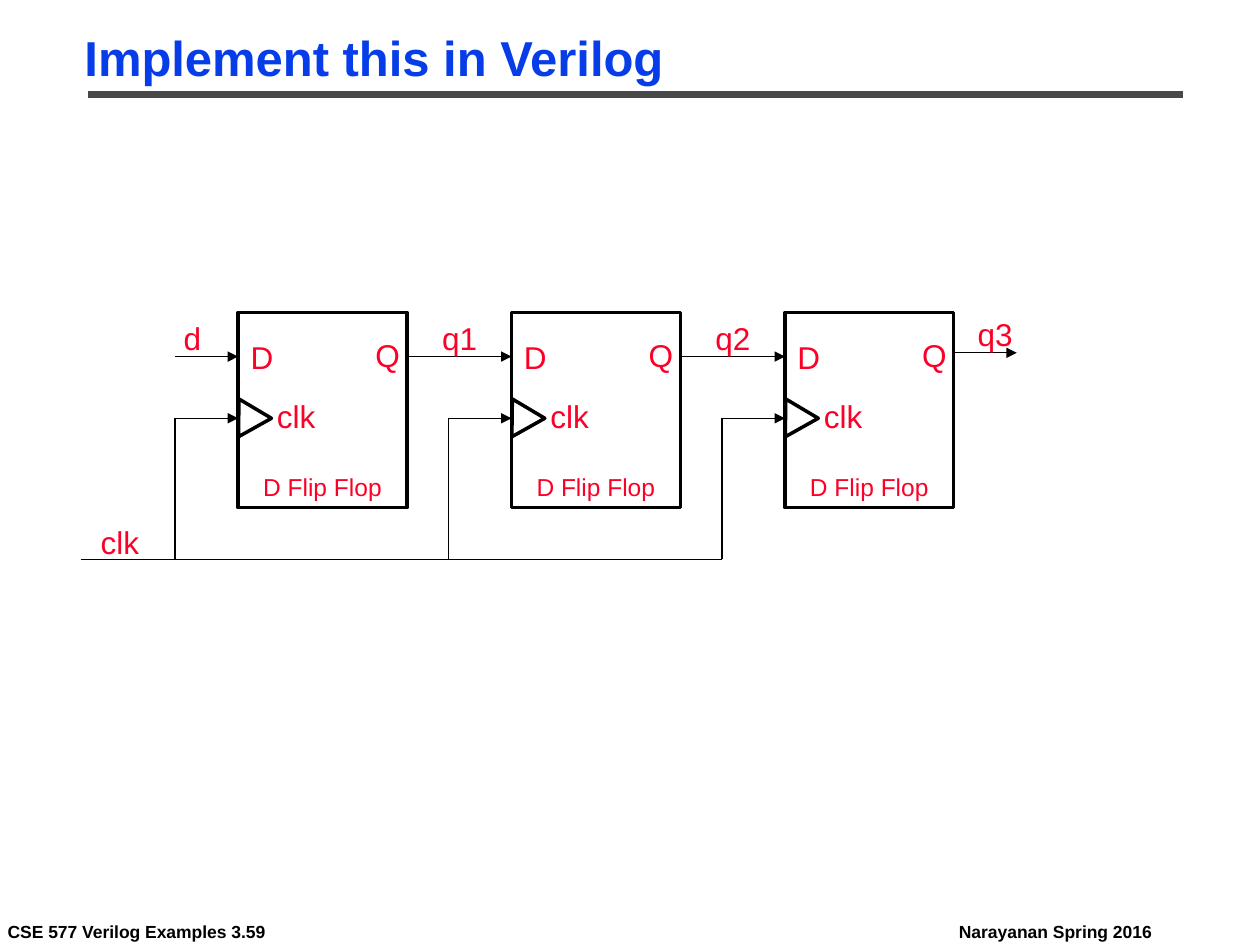
"""Build a slide showing three chained D flip-flops on a shared clock."""
from dataclasses import dataclass

from lxml import etree
from pptx import Presentation
from pptx.dml.color import RGBColor
from pptx.enum.shapes import MSO_CONNECTOR, MSO_SHAPE
from pptx.enum.text import MSO_AUTO_SIZE, PP_ALIGN
from pptx.oxml.ns import qn
from pptx.util import Inches, Pt

STRAIGHT = MSO_CONNECTOR.STRAIGHT
RECTANGLE = MSO_SHAPE.RECTANGLE
TRIANGLE = MSO_SHAPE.ISOSCELES_TRIANGLE
FIT = MSO_AUTO_SIZE.SHAPE_TO_FIT_TEXT
LEFT, CENTER = PP_ALIGN.LEFT, PP_ALIGN.CENTER


@dataclass(frozen=True)
class Theme:
    font: str = "Arial"
    ink: RGBColor = RGBColor(0x00, 0x00, 0x00)
    rule: RGBColor = RGBColor(0x48, 0x48, 0x48)
    title: RGBColor = RGBColor(0x06, 0x3D, 0xE8)
    signal: RGBColor = RGBColor(0xFC, 0x01, 0x28)
    title_size: int = 28
    label_size: int = 18
    caption_size: int = 14
    footer_size: int = 10
    rule_width: float = 4.5
    outline_width: float = 2
    wire_width: float = 0.75


@dataclass(frozen=True)
class Label:
    text: str
    x: float
    y: float
    w: float
    h: float = 0.4
    size: int = Theme.label_size
    color: RGBColor = Theme.signal
    align: PP_ALIGN = LEFT


@dataclass(frozen=True)
class Wire:
    x1: float
    y1: float
    x2: float
    y2: float
    arrow: bool = False
    width: float = Theme.wire_width
    color: RGBColor = Theme.ink


FLOP_X, FLOP_Y, FLOP_W, FLOP_H = 1.89, 2.48, 1.34, 1.55
PITCH, STUB = 2.17, 0.5
DATA_Y, OUTPUT_Y, CLOCK_Y, BUS_Y = 2.83, 2.8, 3.32, 4.44
FLOPS = [FLOP_X + i * PITCH for i in range(3)]

HEADING = Label("Implement this in Verilog", 0.6, 0.25, 9.05, 0.45,
                Theme.title_size, Theme.title)
FOOTERS = [
    Label("CSE 577 Verilog Examples 3.59", -0.01, 7.28, 2.22, 0.22,
          Theme.footer_size, Theme.ink),
    Label("Narayanan Spring 2016", 7.54, 7.28, 1.68, 0.22,
          Theme.footer_size, Theme.ink),
]
SIGNALS = [
    Label("d", 1.36, 2.48, 0.46),
    Label("q1", 3.41, 2.48, 0.65),
    Label("q2", 5.58, 2.48, 0.65),
    Label("q3", 7.66, 2.45, 0.65),
    Label("clk", 0.7, 4.1, 0.55),
]


def add_label(s, label: Label):
    tb = s.shapes.add_textbox(Inches(label.x), Inches(label.y),
                              Inches(label.w), Inches(label.h))
    tf = tb.text_frame
    tf.word_wrap = True
    tf.auto_size = FIT
    p = tf.paragraphs[0]
    p.text = label.text
    p.alignment = label.align
    p.font.name = Theme.font
    p.font.size = Pt(label.size)
    p.font.color.rgb = label.color
    return tf


def add_bold_label(s, label: Label, wrap: bool):
    tf = add_label(s, label)
    tf.word_wrap = wrap
    tf.margin_left = tf.margin_right = Inches(0.07)
    tf.margin_top = tf.margin_bottom = Inches(0.03)
    tf.paragraphs[0].font.bold = True
    return tf


def add_wire(s, wire: Wire) -> None:
    c = s.shapes.add_connector(STRAIGHT, Inches(wire.x1), Inches(wire.y1),
                               Inches(wire.x2), Inches(wire.y2))
    c.line.color.rgb = wire.color
    c.line.width = Pt(wire.width)
    if wire.arrow:
        etree.SubElement(c.line._get_or_add_ln(), qn("a:tailEnd"), type="triangle")
    etree.SubElement(c._element.spPr, qn("a:effectLst"))


def add_outline(s, kind: MSO_SHAPE, x: float, y: float, w: float, h: float,
                rotation: float = 0) -> None:
    sp = s.shapes.add_shape(kind, Inches(x), Inches(y), Inches(w), Inches(h))
    sp.shadow.inherit = False
    sp.fill.background()
    sp.line.color.rgb = Theme.ink
    sp.line.width = Pt(Theme.outline_width)
    sp.rotation = rotation


def add_flip_flop(s, x: float, data_start: float) -> None:
    add_outline(s, RECTANGLE, x, FLOP_Y, FLOP_W, FLOP_H)
    add_outline(s, TRIANGLE, x - 0.08, 3.15, 0.3, 0.26, 330.7)
    for label in (
        Label("D", x, 2.63, 0.35),
        Label("Q", x + 0.99, 2.62, 0.35),
        Label("clk", x + 0.21, 3.1, 0.67),
        Label("D Flip Flop", x, 3.7, FLOP_W, 0.34, Theme.caption_size, align=CENTER),
    ):
        add_label(s, label)
    tap = x - STUB
    add_wire(s, Wire(data_start, DATA_Y, x, DATA_Y, arrow=True))
    add_wire(s, Wire(tap, CLOCK_Y, x, CLOCK_Y, arrow=True))
    add_wire(s, Wire(tap, CLOCK_Y, tap, BUS_Y))


def main() -> None:
    prs = Presentation()
    prs.slide_width, prs.slide_height = Inches(10), Inches(7.5)
    s = prs.slides.add_slide(prs.slide_layouts[6])

    for footer in FOOTERS:
        add_bold_label(s, footer, wrap=False)
    add_wire(s, Wire(0.7, 0.75, 9.39, 0.75, width=Theme.rule_width, color=Theme.rule))
    add_bold_label(s, HEADING, wrap=True).paragraphs[0].line_spacing = 0.87

    data_starts = [FLOP_X - STUB] + [x + FLOP_W for x in FLOPS[:-1]]
    for x, data_start in zip(FLOPS, data_starts):
        add_flip_flop(s, x, data_start)
    output_x = FLOPS[-1] + FLOP_W
    add_wire(s, Wire(output_x, OUTPUT_Y, output_x + STUB, OUTPUT_Y, arrow=True))
    add_wire(s, Wire(0.64, BUS_Y, FLOPS[-1] - STUB, BUS_Y))
    for signal in SIGNALS:
        add_label(s, signal)

    prs.save("out.pptx")


if __name__ == "__main__":
    main()
